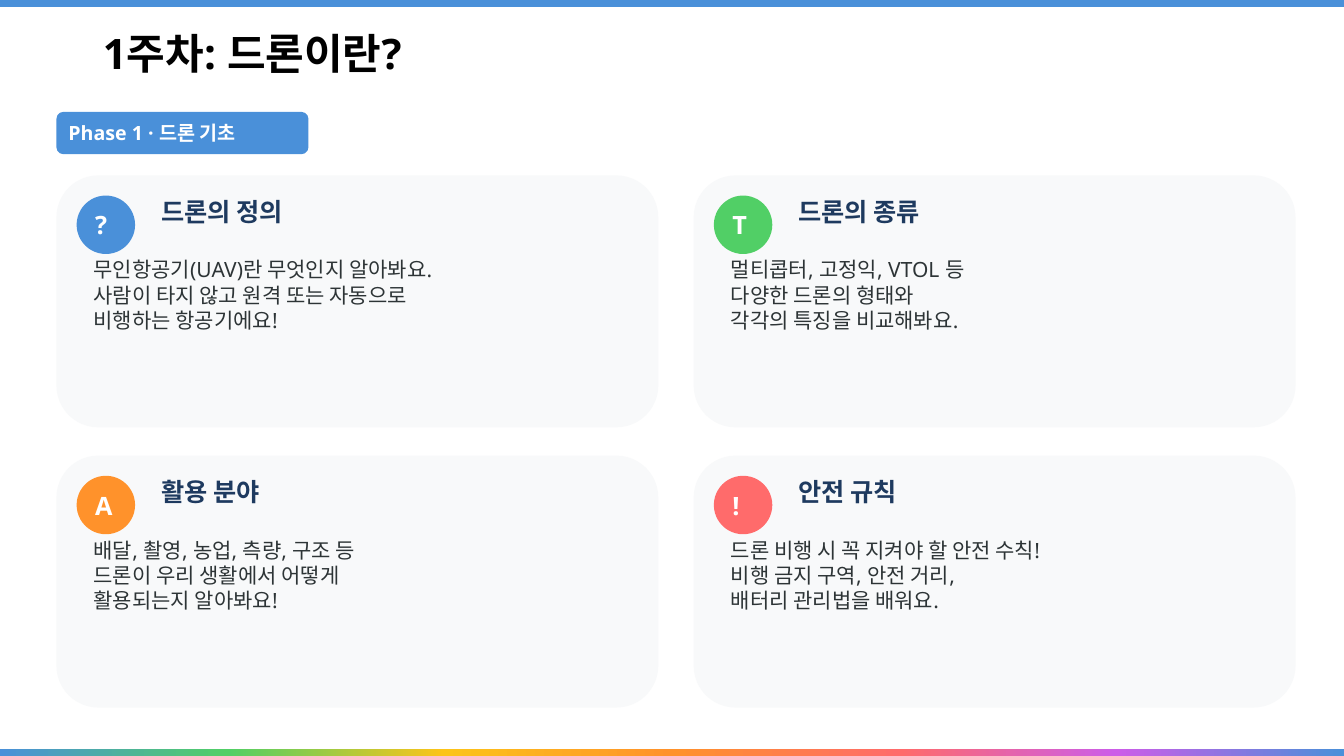
from dataclasses import dataclass

from lxml.etree import SubElement
from pptx import Presentation
from pptx.dml.color import RGBColor
from pptx.enum.shapes import MSO_SHAPE
from pptx.enum.text import MSO_ANCHOR, MSO_AUTO_SIZE, PP_ALIGN
from pptx.oxml.ns import qn
from pptx.util import Inches, Pt

TITLE = "1주차: 드론이란?"
PHASE = "Phase 1 · 드론 기초"
CARDS = [
    ("?", "4A90D9", "드론의 정의",
     ["무인항공기(UAV)란 무엇인지 알아봐요.", "사람이 타지 않고 원격 또는 자동으로", "비행하는 항공기에요!"]),
    ("T", "51CF66", "드론의 종류",
     ["멀티콥터, 고정익, VTOL 등", "다양한 드론의 형태와", "각각의 특징을 비교해봐요."]),
    ("A", "FF922B", "활용 분야",
     ["배달, 촬영, 농업, 측량, 구조 등", "드론이 우리 생활에서 어떻게", "활용되는지 알아봐요!"]),
    ("!", "FF6B6B", "안전 규칙",
     ["드론 비행 시 꼭 지켜야 할 안전 수칙!", "비행 금지 구역, 안전 거리,", "배터리 관리법을 배워요."]),
]
RAINBOW = ["4A90D9", "51CF66", "FCC419", "FF922B", "FF6B6B", "CC5DE8", "4A90D9"]


@dataclass(frozen=True)
class Theme:
    font: str = "Noto Sans"
    accent: str = "4A90D9"
    card: str = "F8F9FA"
    heading: str = "1E3A5F"
    body: str = "2D3436"
    black: str = "000000"
    white: str = "FFFFFF"
    title_size: int = 30
    heading_size: int = 18
    body_size: int = 15
    phase_size: int = 14


THEME = Theme()
SLIDE_WIDTH, SLIDE_HEIGHT = 13.33, 7.5
COLUMNS = 2
GRID_LEFT, GRID_TOP = 0.56, 1.74
CARD_WIDTH, CARD_HEIGHT = 5.97, 2.5
GAP_X, GAP_Y = 0.35, 0.28
BAR_HEIGHT = 0.07


def write(shape, text, size, color, bold=False, anchor=MSO_ANCHOR.TOP, wrap=True):
    frame = shape.text_frame
    frame.word_wrap = wrap
    frame.vertical_anchor = anchor
    frame.text = text
    paragraph = frame.paragraphs[0]
    paragraph.alignment = PP_ALIGN.LEFT
    paragraph.font.name = THEME.font
    paragraph.font.size = Pt(size)
    paragraph.font.bold = bold
    paragraph.font.color.rgb = RGBColor.from_string(color)
    return paragraph


def add_block(slide, kind, box, color):
    shape = slide.shapes.add_shape(kind, *map(Inches, box))
    shape.shadow.inherit = False
    shape.fill.solid()
    shape.fill.fore_color.rgb = RGBColor.from_string(color)
    shape.line.fill.background()
    return shape


def add_label(slide, box, text, size, color, bold=False):
    label = slide.shapes.add_textbox(*map(Inches, box))
    write(label, text, size, color, bold)


def add_card(slide, index, card):
    symbol, color, heading, lines = card
    row, column = divmod(index, COLUMNS)
    left = GRID_LEFT + column * (CARD_WIDTH + GAP_X)
    top = GRID_TOP + row * (CARD_HEIGHT + GAP_Y)
    add_block(slide, MSO_SHAPE.ROUNDED_RECTANGLE, (left, top, CARD_WIDTH, CARD_HEIGHT), THEME.card)
    icon = add_block(slide, MSO_SHAPE.OVAL, (left + 0.2, top + 0.2, 0.58, 0.58), color)
    write(icon, symbol, THEME.heading_size, THEME.white, True, MSO_ANCHOR.MIDDLE, False)
    add_label(slide, (left + 0.94, top + 0.16, 4.79, 0.39), heading,
              THEME.heading_size, THEME.heading, True)
    add_label(slide, (left + 0.27, top + 0.76, 5.49, 1.53), "\v".join(lines),
              THEME.body_size, THEME.body)


def fill_rainbow(shape, colors):
    shape.fill.gradient()
    shape.fill.gradient_angle = 0
    stops = shape.element.spPr.find(qn("a:gradFill")).find(qn("a:gsLst"))
    for stop in list(stops):
        stops.remove(stop)
    for index, color in enumerate(colors):
        position = round(100 * index / (len(colors) - 1)) * 1000
        stop = SubElement(stops, qn("a:gs"), pos=str(position))
        SubElement(stop, qn("a:srgbClr"), val=color)


def main():
    presentation = Presentation()
    presentation.slide_width = Inches(SLIDE_WIDTH)
    presentation.slide_height = Inches(SLIDE_HEIGHT)
    slide = presentation.slides.add_slide(presentation.slide_layouts[5])

    title = slide.shapes.title
    title.left, title.top, title.width, title.height = map(Inches, (0.92, 0.21, 11.5, 0.69))
    paragraph = write(title, TITLE, THEME.title_size, THEME.black, True, MSO_ANCHOR.MIDDLE)
    paragraph.line_spacing = 0.9
    title.text_frame.auto_size = MSO_AUTO_SIZE.NONE

    phase = add_block(slide, MSO_SHAPE.ROUNDED_RECTANGLE, (GRID_LEFT, 1.11, 2.5, 0.42), THEME.accent)
    write(phase, PHASE, THEME.phase_size, THEME.white, True, MSO_ANCHOR.MIDDLE)

    for index, card in enumerate(CARDS):
        add_card(slide, index, card)

    add_block(slide, MSO_SHAPE.RECTANGLE, (0, 0, SLIDE_WIDTH, BAR_HEIGHT), THEME.accent)
    bottom_bar = add_block(slide, MSO_SHAPE.RECTANGLE,
                           (0, SLIDE_HEIGHT - BAR_HEIGHT, SLIDE_WIDTH, BAR_HEIGHT), THEME.accent)
    fill_rainbow(bottom_bar, RAINBOW)

    presentation.save("out.pptx")


if __name__ == "__main__":
    main()
